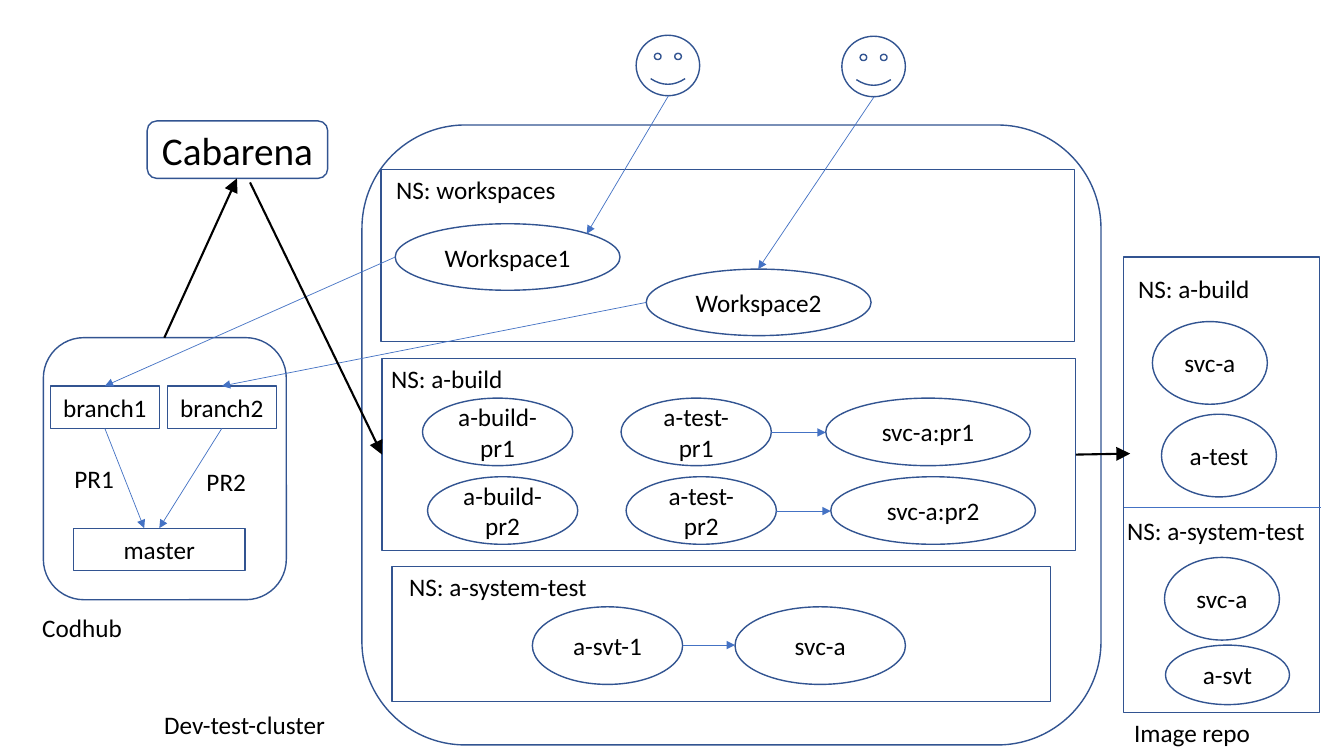
from pptx import Presentation
from pptx.dml.color import RGBColor
from pptx.enum.shapes import MSO_CONNECTOR, MSO_SHAPE as SHAPE
from pptx.enum.text import MSO_ANCHOR, MSO_AUTO_SIZE, PP_ALIGN
from pptx.oxml.ns import qn
from pptx.util import Inches, Pt
from lxml import etree

COLORS = {"outline": "325491", "link": "4472C4", "flow": "000000", "text": "000000"}
FONT = "Calibri"

deck = Presentation()
deck.slide_width, deck.slide_height = Inches(13.33), Inches(7.5)
slide = deck.slides.add_slide(deck.slide_layouts[6])


def add_node(kind, box, text="", size=18):
    """Outlined shape, or a plain label when kind is None."""
    area = [Inches(v) for v in box]
    if kind is None:
        node = slide.shapes.add_textbox(*area)
        node.text_frame.word_wrap = False
        node.text_frame.auto_size = MSO_AUTO_SIZE.SHAPE_TO_FIT_TEXT
    else:
        node = slide.shapes.add_shape(kind, *area)
        node.shadow.inherit = False
        node.fill.background()
        node.line.color.rgb = RGBColor.from_string(COLORS["outline"])
        node.line.width = Pt(1)
        node.text_frame.vertical_anchor = MSO_ANCHOR.MIDDLE
    if text:
        paragraph = node.text_frame.paragraphs[0]
        paragraph.alignment = PP_ALIGN.LEFT if kind is None else PP_ALIGN.CENTER
        run = paragraph.add_run()
        run.text = text
        run.font.name, run.font.size = FONT, Pt(size)
        run.font.color.rgb = RGBColor.from_string(COLORS["text"])


def add_link(start, end, color="link", width=0.5, head="med"):
    link = slide.shapes.add_connector(
        MSO_CONNECTOR.STRAIGHT, *[Inches(v) for v in (*start, *end)])
    link.line.color.rgb = RGBColor.from_string(COLORS[color])
    link.line.width = Pt(width)
    if head:
        etree.SubElement(link.line._get_or_add_ln(), qn("a:tailEnd"),
                         type="triangle", w=head, len=head)
    etree.SubElement(link._element.spPr, qn("a:effectLst"))


# Containers: source repository, cluster, image repository
add_node(SHAPE.ROUNDED_RECTANGLE, (0.43, 3.35, 2.41, 2.6))
add_node(SHAPE.ROUNDED_RECTANGLE, (3.59, 1.24, 7.33, 6.15))
add_node(SHAPE.RECTANGLE, (11.14, 2.55, 1.95, 4.52))
add_link((11.15, 5.03), (13.1, 5.03), head=None)

# Cluster namespaces
for namespace in [(3.78, 1.68, 6.88, 1.71), (3.79, 3.56, 6.88, 1.9),
                  (3.89, 5.62, 6.53, 1.34)]:
    add_node(SHAPE.RECTANGLE, namespace)

# Build pipelines, one row per pull request
for number, (shift, drop) in enumerate([(0, 0), (0.05, 0.78)], start=1):
    for name, left, width in [("a-build-pr", 4.19, 1.49), ("a-test-pr", 6.16, 1.49),
                              ("svc-a:pr", 8.19, 2.03)]:
        add_node(SHAPE.OVAL, (left + shift, 3.95 + drop, width, 0.67), f"{name}{number}")
    add_link((7.65 + shift, 4.29 + drop), (8.19 + shift, 4.29 + drop))

# System test
add_node(SHAPE.OVAL, (5.28, 6.02, 1.49, 0.77), "a-svt-1")
add_node(SHAPE.OVAL, (7.29, 6.02, 1.69, 0.77), "svc-a")
add_link((6.77, 6.4), (7.29, 6.4))

# Developers, their workspaces and the branches these push to
for number, (face, workspace, entry, branch) in enumerate([
        ((6.31, 0.35), (3.92, 2.22), (5.82, 2.32), 0.5),
        ((8.35, 0.36), (6.41, 2.67), (7.52, 2.67), 1.66)], start=1):
    add_node(SHAPE.SMILEY_FACE, (*face, 0.63, 0.6))
    add_node(SHAPE.OVAL, (*workspace, 2.23, 0.66), f"Workspace{number}")
    add_node(SHAPE.RECTANGLE, (branch, 3.83, 1.08, 0.42), f"branch{number}")
    add_link((face[0] + 0.32, face[1] + 0.6), entry)
    add_link((workspace[0], workspace[1] + 0.33), (branch + 0.54, 3.83))

# Merges into master
add_node(SHAPE.RECTANGLE, (0.73, 5.24, 1.7, 0.42), "master")
add_link((1.04, 4.25), (1.43, 5.24))
add_link((2.2, 4.25), (1.58, 5.24))

# Stored images
for name, box in [("svc-a", (11.43, 3.19, 1.14, 0.82)), ("a-test", (11.52, 4.11, 1.14, 0.82)),
                  ("svc-a", (11.55, 5.53, 1.14, 0.82)), ("a-svt", (11.56, 6.4, 1.23, 0.59))]:
    add_node(SHAPE.OVAL, box, name)

# Orchestrator and main flow
add_node(SHAPE.ROUNDED_RECTANGLE, (1.46, 1.2, 1.79, 0.57), "Cabarena", 28)
for start, end in [((1.63, 3.35), (2.35, 1.77)), ((2.48, 1.81), (3.79, 4.51)),
                   ((10.67, 4.51), (11.21, 4.5))]:
    add_link(start, end, "flow", 1.5, "lg")

# Labels
for caption, left, top, width in [
        ("NS: workspaces", 3.83, 1.68, 1.8), ("NS: a-build", 3.78, 3.56, 1.32),
        ("NS: a-system-test", 3.96, 5.62, 1.98), ("NS: a-build", 11.19, 2.66, 1.32),
        ("NS: a-system-test", 11.08, 5.06, 1.98), ("PR1", 0.64, 4.55, 0.6),
        ("PR2", 1.95, 4.58, 0.6), ("Codhub", 0.32, 6.03, 1.1),
        ("Dev-test-cluster", 1.53, 6.99, 1.83), ("Image repo", 11.15, 7.07, 1.37)]:
    add_node(None, (left, top, width, 0.4), caption)

deck.save("out.pptx")
